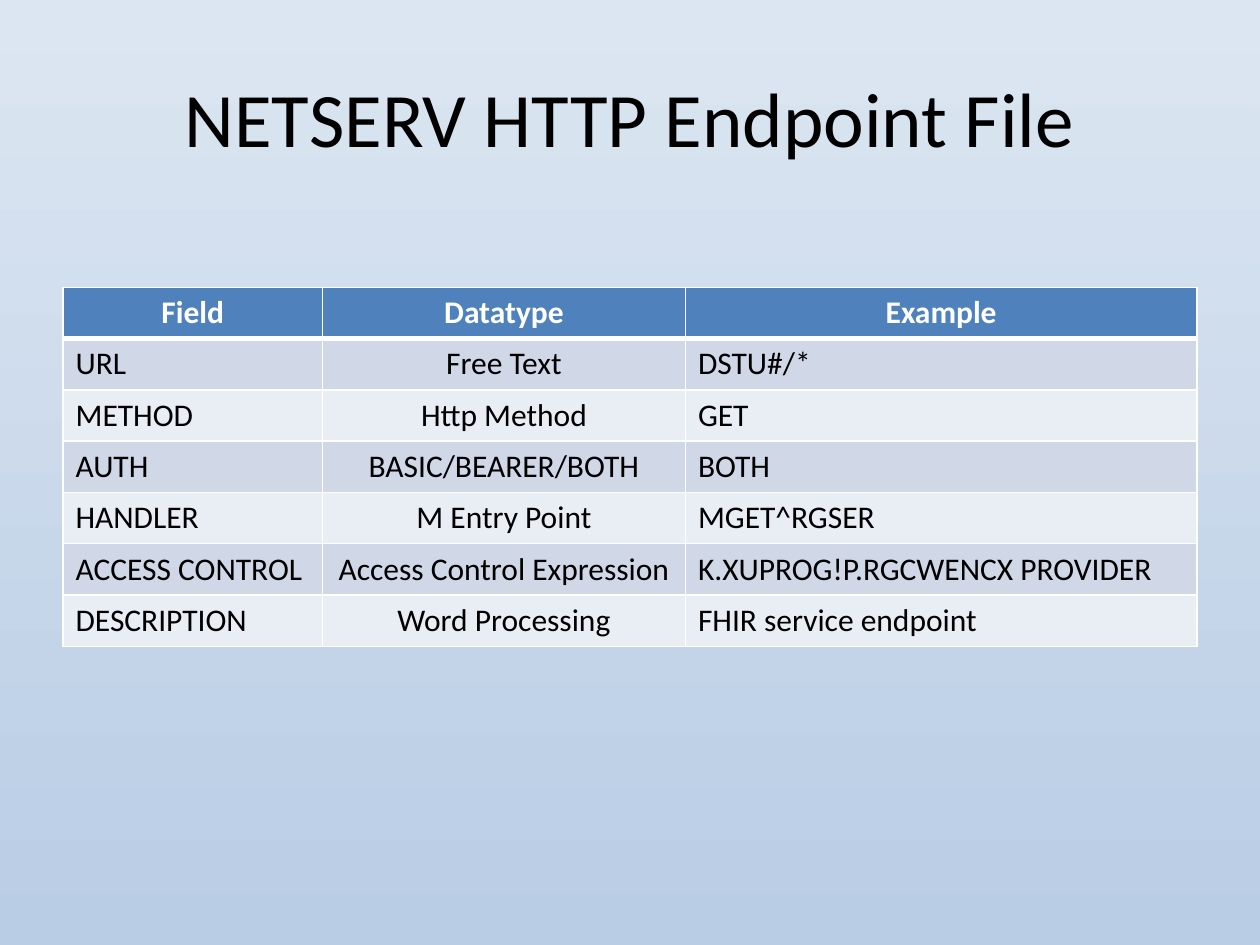
import pptx
import pptx.dml.color
import pptx.enum.text
import pptx.oxml
import pptx.oxml.ns
import pptx.util

Inches = pptx.util.Inches
Pt = pptx.util.Pt
ALIGN = pptx.enum.text.PP_ALIGN
ANCHOR = pptx.enum.text.MSO_ANCHOR

ROWS = [
    ("Field", "Datatype", "Example"),
    ("URL", "Free Text", "DSTU#/*"),
    ("METHOD", "Http Method", "GET"),
    ("AUTH", "BASIC/BEARER/BOTH", "BOTH"),
    ("HANDLER", "M Entry Point", "MGET^RGSER"),
    ("ACCESS CONTROL", "Access Control Expression", "K.XUPROG!P.RGCWENCX PROVIDER"),
    ("DESCRIPTION", "Word Processing", "FHIR service endpoint"),
]
COLUMN_WIDTHS = (2.06, 2.88, 4.06)
ROW_HEIGHT = 2.85 / len(ROWS)


def rgb(value):
    return pptx.dml.color.RGBColor.from_string(value)


class SlideBuilder:
    font_name = "Calibri"
    text_color = "000000"
    line_color = "FFFFFF"
    header_fill = "4F81BD"
    band_fills = ("E9EDF4", "D0D8E8")

    def __init__(self, slide):
        self.slide = slide

    def background(self, colors):
        fill = self.slide.background.fill
        fill.gradient()
        fill.gradient_angle = 270
        for stop, color, position in zip(fill.gradient_stops, colors, (0, 1)):
            stop.color.rgb = rgb(color)
            stop.position = position

    def add_text(self, paragraph, text, size, color, bold, alignment):
        run = paragraph.add_run()
        run.text = text
        paragraph.alignment = alignment
        font_format = {"name": self.font_name, "size": Pt(size), "bold": bold}
        for name, value in font_format.items():
            setattr(run.font, name, value)
        run.font.color.rgb = rgb(color)

    def title(self, text, left, top, width, height):
        shape = self.slide.shapes.add_textbox(
            Inches(left), Inches(top), Inches(width), Inches(height)
        )
        frame_format = {"word_wrap": True, "vertical_anchor": ANCHOR.MIDDLE}
        for name, value in frame_format.items():
            setattr(shape.text_frame, name, value)
        paragraph = shape.text_frame.paragraphs[0]
        self.add_text(paragraph, text, 44, self.text_color, False, ALIGN.CENTER)

    def borders(self, cell, widths):
        properties = cell._tc.get_or_add_tcPr()
        for index, (side, width) in enumerate(widths.items()):
            line = pptx.oxml.parse_xml(
                f'<a:ln{side} {pptx.oxml.ns.nsdecls("a")} w="{Pt(width)}">'
                f'<a:solidFill><a:srgbClr val="{self.line_color}"/></a:solidFill>'
                f"</a:ln{side}>"
            )
            properties.insert(index, line)

    def table(self, rows, widths, left, top, row_height):
        shape = self.slide.shapes.add_table(
            len(rows), len(widths), Inches(left), Inches(top),
            Inches(sum(widths)), Inches(row_height * len(rows)),
        )
        table = shape.table
        for column, width in zip(table.columns, widths):
            column.width = Inches(width)
        for row_index, values in enumerate(rows):
            table.rows[row_index].height = Inches(row_height)
            header = row_index == 0
            fill = self.header_fill if header else self.band_fills[row_index % 2]
            color = self.line_color if header else self.text_color
            sides = {"L": 1, "R": 1, "T": 3 if row_index == 1 else 1, "B": 3 if header else 1}
            for column_index, text in enumerate(values):
                cell = table.cell(row_index, column_index)
                centered = header or column_index == 1
                alignment = ALIGN.CENTER if centered else ALIGN.LEFT
                cell.fill.solid()
                cell.fill.fore_color.rgb = rgb(fill)
                self.borders(cell, sides)
                paragraph = cell.text_frame.paragraphs[0]
                self.add_text(paragraph, text, 18, color, header, alignment)


def main():
    presentation = pptx.Presentation()
    presentation.slide_width = Inches(10)
    presentation.slide_height = Inches(7.5)
    builder = SlideBuilder(presentation.slides.add_slide(presentation.slide_layouts[6]))
    builder.background(("DCE6F2", "B9CDE5"))
    builder.title("NETSERV HTTP Endpoint File", 0.5, 0.3, 9, 1.25)
    builder.table(ROWS, COLUMN_WIDTHS, 0.5, 2.28, ROW_HEIGHT)
    presentation.save("out.pptx")


if __name__ == "__main__":
    main()
